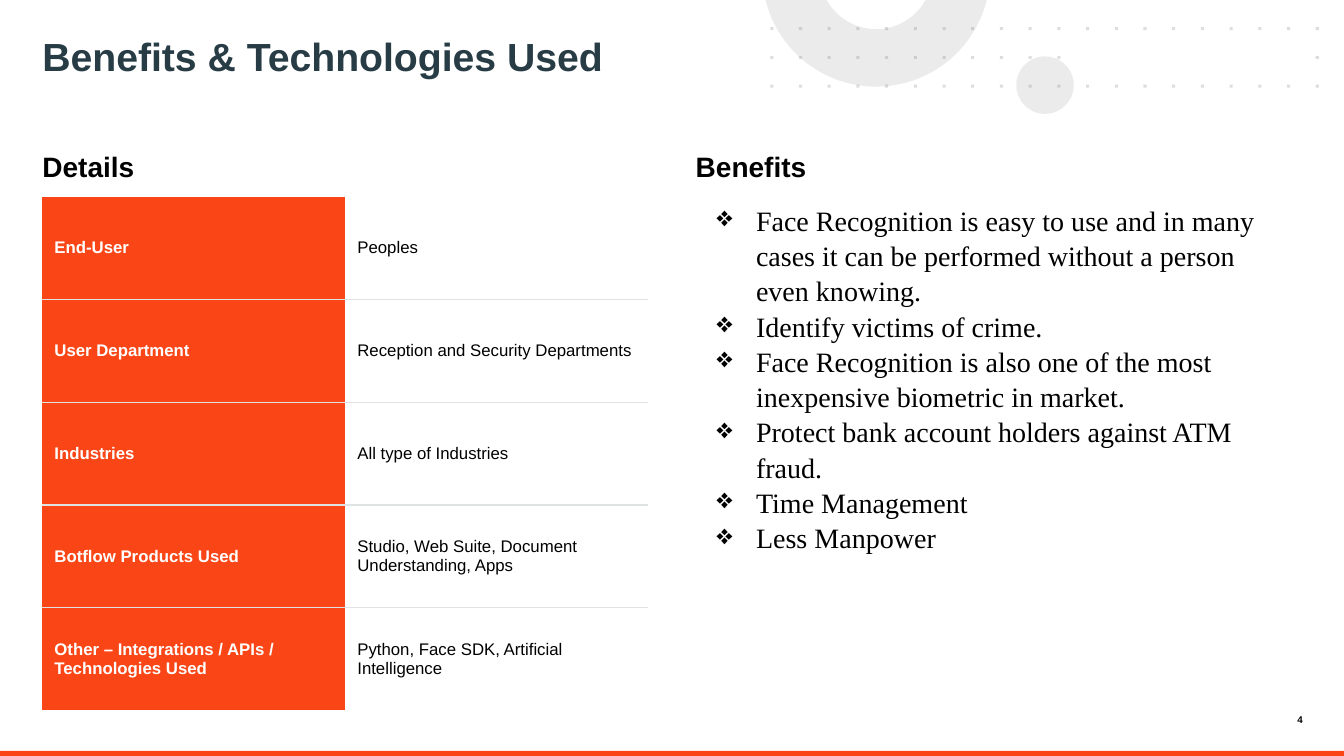
"""Builds the slide on benefits and technologies used."""
import math

import lxml.etree
import pptx
import pptx.dml.color
import pptx.enum.shapes
import pptx.enum.text
import pptx.oxml
import pptx.oxml.ns
import pptx.util

Inches = pptx.util.Inches
Pt = pptx.util.Pt
qn = pptx.oxml.ns.qn
ALIGN = pptx.enum.text.PP_ALIGN
ANCHOR = pptx.enum.text.MSO_ANCHOR
SHAPE = pptx.enum.shapes.MSO_SHAPE

TITLE = "Benefits & Technologies Used"
HEADINGS = ["Details", "Benefits"]
PAGE = "4"
DETAILS = [
    ("End-User", "Peoples"),
    ("User Department", "Reception and Security Departments"),
    ("Industries", "All type of Industries"),
    ("Botflow Products Used", "Studio, Web Suite, Document Understanding, Apps"),
    ("Other – Integrations / APIs / Technologies Used",
     "Python, Face SDK, Artificial Intelligence"),
]
BENEFITS = [
    "Face Recognition is easy to use and in many cases it can be performed "
    "without a person even knowing.",
    "Identify victims of crime.",
    "Face Recognition is also one of the most inexpensive biometric in market.",
    "Protect bank account holders against ATM fraud.",
    "Time Management",
    "Less Manpower",
]

THEME = {
    "sans": "Arial", "serif": "Times New Roman",
    "accent": "FA4616", "title": "283C46", "text": "000000", "white": "FFFFFF",
    "rule": "DFE3E3", "shade": "D8D8D8", "dot": "58595B",
    "title_size": 28, "heading_size": 20, "benefit_size": 20,
    "cell_size": 12, "page_size": 7,
}

SLIDE_W, SLIDE_H = 13.33, 7.5
COLUMN_X = [0.42, 6.9]
COLUMN_W, CONTENT_Y = 6.01, 1.95
ROW_H = 1.02
CELL_INSETS = (0.12, 0.05, 0.12, 0.05)
DOT_X, DOT_Y, DOT_SIZE = 7.64, 0.27, 0.03
DOT_STEP = 5.41 / 19
DOT_COLUMNS = [range(20), [*range(11), 19], range(20)]
RING_X, RING_Y, RING_OUTER, RING_INNER = 8.69, -0.27, 1.13, 0.56


def rgb(name):
    return pptx.dml.color.RGBColor.from_string(THEME[name])


def add_bullet(paragraph, left, hanging):
    properties = paragraph._p.get_or_add_pPr()
    properties.set("marL", str(Inches(left)))
    properties.set("indent", str(-Inches(hanging)))
    lxml.etree.SubElement(properties, qn("a:buChar")).set("char", "❖")


def write(frame, lines, size, color="text", font="sans", bold=False,
          align=ALIGN.LEFT, spacing=1.0, bulleted=False):
    frame.word_wrap = True
    for index, line in enumerate(lines):
        paragraph = frame.paragraphs[0] if index == 0 else frame.add_paragraph()
        paragraph.alignment = align
        paragraph.line_spacing = spacing
        if bulleted:
            add_bullet(paragraph, 0.5, 0.39)
        run = paragraph.add_run()
        run.text = line
        run.font.size = Pt(THEME[size])
        run.font.name = THEME[font]
        run.font.bold = bold
        run.font.color.rgb = rgb(color)


def add_text(slide, box, lines, insets=(0, 0, 0, 0), anchor=ANCHOR.TOP, **style):
    frame = slide.shapes.add_textbox(*map(Inches, box)).text_frame
    (frame.margin_left, frame.margin_top,
     frame.margin_right, frame.margin_bottom) = map(Inches, insets)
    frame.vertical_anchor = anchor
    write(frame, lines, **style)


def paint(shape, color, opacity=100):
    shape.shadow.inherit = False
    shape.line.fill.background()
    shape.fill.solid()
    shape.fill.fore_color.rgb = rgb(color)
    if opacity < 100:
        tint = shape._element.spPr.find(qn("a:solidFill"))[0]
        lxml.etree.SubElement(tint, qn("a:alpha")).set("val", str(opacity * 1000))


def add_outline(slide, contours):
    contours = [[(Inches(x), Inches(y)) for x, y in points] for points in contours]
    builder = slide.shapes.build_freeform(*contours[0][0])
    for index, points in enumerate(contours):
        if index:
            builder.move_to(*points[0])
        builder.add_line_segments(points[1:], close=True)
    return builder.convert_to_shape()


def ring_arc(radius, steps=48):
    start = math.asin(-RING_Y / radius)
    angles = [start + (math.pi - 2 * start) * i / steps for i in range(steps + 1)]
    return [(RING_X + radius * math.cos(a), RING_Y + radius * math.sin(a))
            for a in angles]


def add_decoration(slide):
    footer_bar = slide.shapes.add_shape(
        SHAPE.RECTANGLE, 0, Inches(7.45), Inches(SLIDE_W), Inches(0.05))
    paint(footer_bar, "accent")
    disc = slide.shapes.add_shape(
        SHAPE.OVAL, Inches(10.08), Inches(0.56), Inches(0.57), Inches(0.57))
    paint(disc, "shade", 50)
    ring = add_outline(slide, [ring_arc(RING_OUTER) + ring_arc(RING_INNER)[::-1]])
    paint(ring, "shade", 50)
    dots = []
    for row, columns in enumerate(DOT_COLUMNS):
        for column in columns:
            x, y = DOT_X + column * DOT_STEP, DOT_Y + row * DOT_STEP
            dots.append([(x, y), (x + DOT_SIZE, y),
                         (x + DOT_SIZE, y + DOT_SIZE), (x, y + DOT_SIZE)])
    paint(add_outline(slide, dots), "dot", 20)


def set_borders(cell, ruled):
    properties = cell._tc.get_or_add_tcPr()
    for index, side in enumerate(["lnL", "lnR", "lnT", "lnB"]):
        border = lxml.etree.Element(qn("a:" + side), w=str(Pt(1)))
        if side in ruled:
            fill = lxml.etree.SubElement(border, qn("a:solidFill"))
            lxml.etree.SubElement(fill, qn("a:srgbClr")).set("val", THEME["rule"])
        else:
            lxml.etree.SubElement(border, qn("a:noFill"))
        properties.insert(index, border)


def add_details(slide):
    table = slide.shapes.add_table(
        len(DETAILS), 2, Inches(COLUMN_X[0]), Inches(CONTENT_Y),
        Inches(COLUMN_W), Inches(ROW_H * len(DETAILS))).table
    table.first_row = table.horz_banding = False
    last = len(DETAILS) - 1
    for row, entry in enumerate(DETAILS):
        table.rows[row].height = Inches(ROW_H)
        ruled = ["lnT"] * (row > 0) + ["lnB"] * (row < last)
        for column, words in enumerate(entry):
            is_label = column == 0
            cell = table.cell(row, column)
            (cell.margin_left, cell.margin_top,
             cell.margin_right, cell.margin_bottom) = map(Inches, CELL_INSETS)
            cell.vertical_anchor = ANCHOR.MIDDLE
            cell.fill.solid()
            cell.fill.fore_color.rgb = rgb("accent" if is_label else "white")
            set_borders(cell, ruled)
            write(cell.text_frame, [words], size="cell_size", bold=is_label,
                  color="white" if is_label else "text")


def main():
    deck = pptx.Presentation()
    deck.slide_width, deck.slide_height = Inches(SLIDE_W), Inches(SLIDE_H)
    slide = deck.slides.add_slide(deck.slide_layouts[6])
    add_decoration(slide)
    add_text(slide, (12.53, 7.08, 0.39, 0.13), [PAGE], size="page_size",
             bold=True, align=ALIGN.RIGHT)
    add_text(slide, (COLUMN_X[0], 0.39, 7.23, 0.75), [TITLE], size="title_size",
             color="title", bold=True, spacing=0.85)
    for x, heading in zip(COLUMN_X, HEADINGS):
        add_text(slide, (x, 1.28, COLUMN_W, 0.54), [heading], size="heading_size",
                 bold=True, spacing=0.9, anchor=ANCHOR.BOTTOM)
    add_details(slide)
    add_text(slide, (COLUMN_X[1], CONTENT_Y, COLUMN_W, 4.84), BENEFITS,
             insets=(0.1, 0.05, 0.1, 0.05), size="benefit_size", font="serif",
             spacing=1.05, bulleted=True)
    deck.save("out.pptx")


if __name__ == "__main__":
    main()
